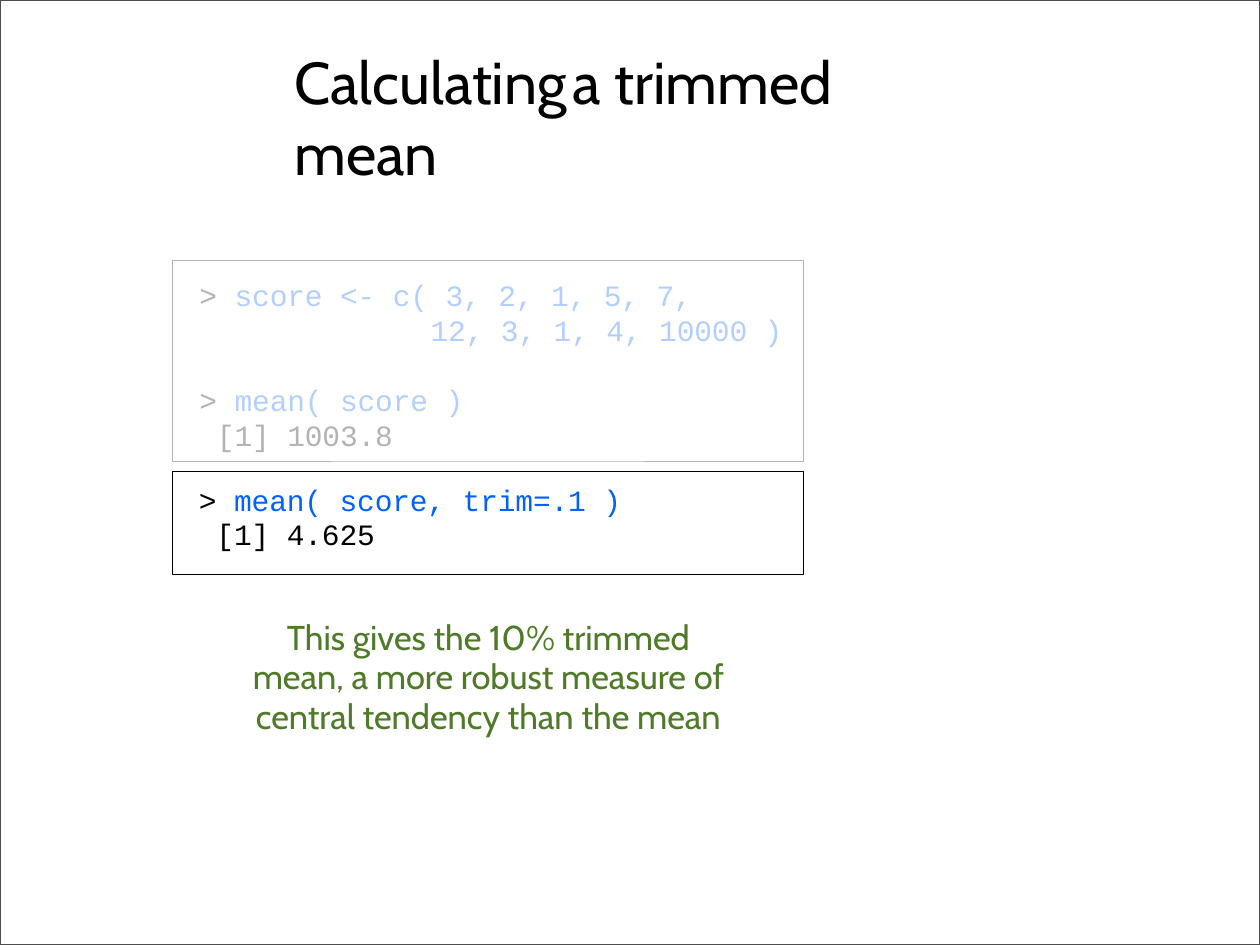
import pptx
import pptx.util
import pptx.dml.color
import pptx.enum.shapes
import pptx.enum.text
import pptx.oxml
import pptx.oxml.ns

COLORS = {
    "ink": "000000",
    "code": "0061FF",
    "note": "4F7A28",
    "veil": "FFFFFF",
    "frame": "4C4C4C",
}
COLUMNS, ROWS = 100, 75
PROMPT, RESULT, CONTINUED = 0, 1.4, 18.36


class TrimmedMeanSlide:
    heading_font = "Cabin"
    code_font = "Courier New"

    def __init__(self, deck):
        self.column = deck.slide_width / COLUMNS
        self.row = deck.slide_height / ROWS
        self.slide = deck.slides.add_slide(deck.slide_layouts[5])

    def place(self, left, top, width, height):
        lengths = (left * self.column, top * self.row,
                   width * self.column, height * self.row)
        return [pptx.util.Emu(round(length)) for length in lengths]

    def color(self, name):
        return pptx.dml.color.RGBColor.from_string(COLORS[name])

    def prepare(self, box, top_inset=0):
        frame = box.text_frame
        frame.word_wrap = True
        frame.auto_size = pptx.enum.text.MSO_AUTO_SIZE.NONE
        frame.vertical_anchor = pptx.enum.text.MSO_ANCHOR.TOP
        frame.margin_left = frame.margin_right = frame.margin_bottom = 0
        frame.margin_top = round(top_inset * self.row)
        return frame

    def span(self, para, text, size, font, color):
        span = para.add_run()
        span.text = text
        span.font.size = pptx.util.Pt(size)
        span.font.name = font
        span.font.color.rgb = self.color(color)
        return span

    def title(self, area, lines, tabs):
        box = self.slide.shapes.title
        box.left, box.top, box.width, box.height = self.place(*area)
        para = self.prepare(box).paragraphs[0]
        para.alignment = pptx.enum.text.PP_ALIGN.LEFT
        self.broken_lines(para, lines, 48, "ink")
        stops = pptx.oxml.parse_xml(
            "<a:tabLst %s/>" % pptx.oxml.ns.nsdecls("a"))
        for tab in tabs:
            stop = stops.makeelement(pptx.oxml.ns.qn("a:tab"))
            stop.set("pos", str(round(tab * self.column)))
            stop.set("algn", "l")
            stops.append(stop)
        para._p.get_or_add_pPr().append(stops)

    def broken_lines(self, para, lines, size, color):
        for number, line in enumerate(lines):
            if number:
                para.add_line_break()
            self.span(para, line, size, self.heading_font, color)

    def rectangle(self, area, line=None, weight=0.75, fill=None, opacity=100):
        box = self.slide.shapes.add_shape(
            pptx.enum.shapes.MSO_SHAPE.RECTANGLE, *self.place(*area))
        box.shadow.inherit = False
        if fill:
            box.fill.solid()
            box.fill.fore_color.rgb = self.color(fill)
            shade = box.fill._xPr.find(".//" + pptx.oxml.ns.qn("a:srgbClr"))
            alpha = shade.makeelement(pptx.oxml.ns.qn("a:alpha"))
            alpha.set("val", str(opacity * 1000))
            shade.append(alpha)
        else:
            box.fill.background()
        if line:
            box.line.color.rgb = self.color(line)
            box.line.width = pptx.util.Pt(weight)
        else:
            box.line.fill.background()
        return box

    def text_box(self, area):
        return self.slide.shapes.add_textbox(*self.place(*area))

    def code(self, box, top_inset, margin, leading, lines):
        frame = self.prepare(box, top_inset)
        for number, (indent, gap, spans) in enumerate(lines):
            para = frame.add_paragraph() if number else frame.paragraphs[0]
            para.alignment = pptx.enum.text.PP_ALIGN.LEFT
            para.line_spacing = pptx.util.Pt(leading)
            para.space_before = pptx.util.Pt(gap)
            para._p.get_or_add_pPr().set(
                "marL", str(round((margin + indent) * self.column)))
            for text, color in spans:
                span = self.span(para, text, 24, self.code_font, color)
                span._r.get_or_add_rPr().set("spc", "-10")

    def note(self, area, lines):
        para = self.prepare(self.text_box(area)).paragraphs[0]
        para.alignment = pptx.enum.text.PP_ALIGN.CENTER
        para.line_spacing = pptx.util.Pt(32)
        self.broken_lines(para, lines, 28, "note")


def command(text, gap=0):
    return PROMPT, gap, [("> ", "ink"), (text, "code")]


def result(text):
    return RESULT, 0, [(text, "ink")]


def main():
    deck = pptx.Presentation()
    deck.slide_width = pptx.util.Inches(14.22)
    deck.slide_height = pptx.util.Inches(10.67)
    page = TrimmedMeanSlide(deck)

    page.title((23.35, 3.58, 53.31, 5.7),
               ["Calculating\ta\ttrimmed", "mean"], [22.08, 25.39])

    faded_area = (11.11, 19.12, 53.94, 18)
    page.code(page.text_box(faded_area), 2.88, 4.71, 28.4, [
        command("score <- c( 3, 2, 1, 5, 7,"),
        (CONTINUED, 0, [("12, 3, 1, 4, 10000 )", "code")]),
        command("mean( score )", gap=28.5),
        result("[1] 1003.8"),
    ])
    trimmed = page.rectangle((13.67, 37.4, 50.07, 8.23), line="ink")
    page.code(trimmed, 0.91, 2.11, 28, [
        command("mean( score, trim=.1 )"),
        result("[1] 4.625"),
    ])
    page.rectangle((13.67, 20.67, 50.07, 15.92), line="ink")
    page.rectangle(faded_area, fill="veil", opacity=70)

    page.note((18.85, 49.06, 39.8, 9.42), [
        "This gives the 10% trimmed",
        "mean, a more robust measure of",
        "central tendency than the mean",
    ])
    page.rectangle((0, 0, COLUMNS, ROWS), line="frame", weight=1)
    deck.save("out.pptx")


if __name__ == "__main__":
    main()
